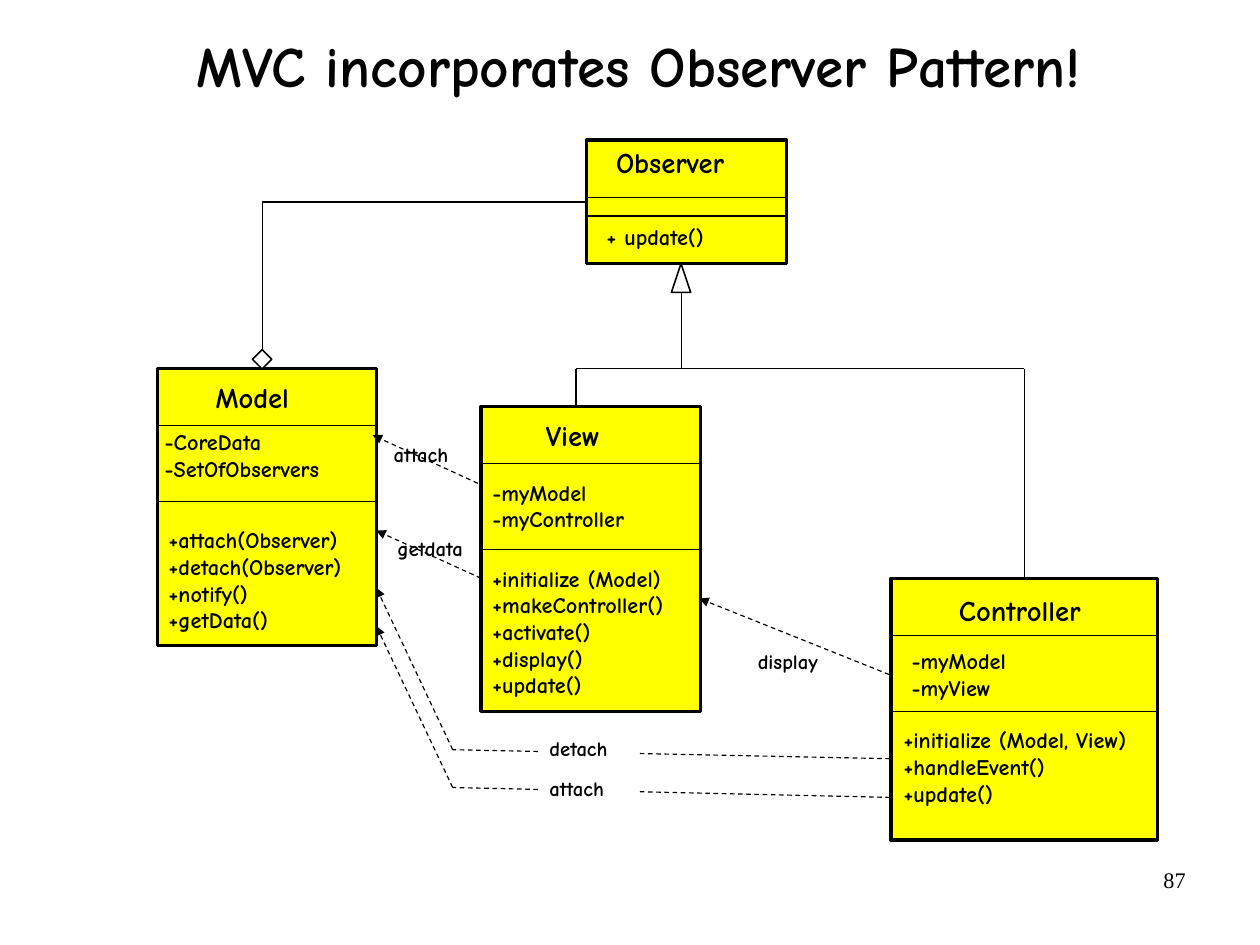
import pptx
import pptx.dml.color
import pptx.enum.dml
import pptx.enum.shapes
import pptx.enum.text
import pptx.oxml.ns
import pptx.util
from lxml import etree

Cm = pptx.util.Cm
Shapes = pptx.enum.shapes.MSO_SHAPE
Connectors = pptx.enum.shapes.MSO_CONNECTOR
Align = pptx.enum.text.PP_ALIGN
Anchor = pptx.enum.text.MSO_ANCHOR
qn = pptx.oxml.ns.qn


def color(value):
    return pptx.dml.color.RGBColor.from_string(value)


class Diagram:
    font = "Comic Neue"
    ink = "000000"
    paper = "FFFFFF"
    class_fill = "FFFF00"

    def __init__(self, slide):
        self.slide = slide

    def style(self, frame, size, align=Align.LEFT, font=None, bold=True):
        for paragraph in frame.paragraphs:
            paragraph.alignment = align
            for run in paragraph.runs:
                run.font.name = font or self.font
                run.font.size = pptx.util.Pt(size)
                run.font.bold = bold
                run.font.color.rgb = color(self.ink)

    def title(self, text, left, top, width, height):
        title = self.slide.shapes.title
        title.left, title.top = Cm(left), Cm(top)
        title.width, title.height = Cm(width), Cm(height)
        frame = title.text_frame
        frame.text = text
        frame.auto_size = pptx.enum.text.MSO_AUTO_SIZE.NONE
        frame.vertical_anchor = Anchor.MIDDLE
        frame.margin_left = frame.margin_right = 0
        frame.margin_top = frame.margin_bottom = 0
        frame.paragraphs[0].line_spacing = 0.88
        self.style(frame, 36, Align.CENTER)

    def text(self, lines, left, top, width, size, fill=None, **style):
        height = 0.25 + 0.0425 * size * len(lines)
        box = self.slide.shapes.add_textbox(Cm(left), Cm(top), Cm(width), Cm(height))
        if fill:
            box.fill.solid()
            box.fill.fore_color.rgb = color(fill)
        box.text_frame.word_wrap = True
        box.text_frame.text = "\n".join(lines)
        self.style(box.text_frame, size, **style)

    def shape(self, kind, left, top, width, height, fill, weight):
        shape = self.slide.shapes.add_shape(
            kind, Cm(left), Cm(top), Cm(width), Cm(height))
        shape.shadow.inherit = False
        shape.fill.solid()
        shape.fill.fore_color.rgb = color(fill)
        shape.line.color.rgb = color(self.ink)
        shape.line.width = pptx.util.Pt(weight)

    def line(self, start, end, kind=Connectors.STRAIGHT, dashed=False, arrow=False):
        connector = self.slide.shapes.add_connector(
            kind, *(Cm(value) for value in (*start, *end)))
        connector.line.color.rgb = color(self.ink)
        connector.line.width = pptx.util.Pt(0.75)
        if dashed:
            connector.line.dash_style = pptx.enum.dml.MSO_LINE.DASH
        properties = connector._element.spPr
        if arrow:
            etree.SubElement(properties.find(qn("a:ln")), qn("a:tailEnd"), type="triangle")
        etree.SubElement(properties, qn("a:effectLst"))
        return connector

    def corner(self, start, end):
        connector = self.line(start, end, Connectors.ELBOW)
        connector._element.spPr.find(qn("a:prstGeom")).set("prst", "bentConnector2")

    def route(self, points, dashed=False):
        for index, (start, end) in enumerate(zip(points, points[1:]), 2):
            self.line(start, end, dashed=dashed, arrow=dashed and index == len(points))

    def uml_class(self, frame, dividers, name, sections):
        left, top, width, height = frame
        self.shape(Shapes.RECTANGLE, left, top, width, height, self.class_fill, 2)
        for y in dividers:
            self.line((left, y), (left + width, y))
        self.text(*name, size=18)
        for section in sections:
            self.text(*section, size=14)


def main():
    presentation = pptx.Presentation()
    presentation.slide_width, presentation.slide_height = Cm(28), Cm(21)
    diagram = Diagram(presentation.slides.add_slide(presentation.slide_layouts[5]))

    # Title and page number
    diagram.title("MVC incorporates Observer Pattern!", 0.41, -0.2, 27.56, 3.48)
    diagram.text(["87"], 20.07, 19.12, 6.53, 14,
                 align=Align.RIGHT, font="Times New Roman", bold=False)

    # Classes: frame, divider heights, name, attributes and methods
    classes = [
        ((3.5, 8.19, 4.87, 6.15), (9.46, 11.15), (["Model"], 4.54, 8.31, 3.18), [
            (["-CoreData", "-SetOfObservers"], 3.41, 9.4, 5.51),
            (["+attach(Observer)", "+detach(Observer)", "+notify()", "+getData()"],
             3.5, 11.58, 5.41)]),
        ((19.8, 12.85, 5.92, 5.82), (14.12, 15.82), (["Controller"], 21.06, 13.06, 4.04), [
            (["-myModel", "-myView"], 20.01, 14.26, 5.51),
            (["+initialize (Model, View)", "+handleEvent()", "+update()"],
             19.83, 16.02, 5.92)]),
        ((13.03, 3.11, 4.45, 2.74), (4.38, 4.8), (["Observer"], 13.44, 3.1, 3.81), [
            (["+ update()"], 13.23, 4.83, 3.61)]),
        ((10.69, 9.03, 4.87, 6.78), (10.3, 12.21), (["View"], 11.88, 9.16, 2.31), [
            (["-myModel", "-myController"], 10.69, 10.52, 5.51),
            (["+initialize (Model)", "+makeController()", "+activate()",
              "+display()", "+update()"], 10.69, 12.43, 5.08)]),
    ]
    for uml_class in classes:
        diagram.uml_class(*uml_class)

    # Aggregation: Model holds Observers
    diagram.corner((13.03, 4.49), (5.83, 7.77))
    diagram.shape(Shapes.DIAMOND, 5.61, 7.77, 0.43, 0.43, diagram.paper, 1)

    # Inheritance: View and Controller are Observers
    diagram.route([(22.76, 12.85), (22.76, 8.19), (12.8, 8.19), (12.8, 9.03)])
    diagram.route([(15.14, 6.5), (15.14, 8.19)])
    diagram.shape(Shapes.ISOSCELES_TRIANGLE, 14.92, 5.86, 0.43, 0.64, diagram.paper, 1)

    # Calls between classes, each with its label
    calls = [
        ([(10.69, 12.85), (8.36, 11.79)], "getdata", 8.58, 11.79, None),
        ([(19.76, 14.99), (15.54, 13.3)], "display", 16.59, 14.29, None),
        ([(19.78, 16.86), (10.06, 16.66), (8.36, 13.06)],
         "detach", 11.96, 16.23, diagram.paper),
        ([(19.78, 17.72), (10.06, 17.5), (8.36, 13.91)],
         "attach", 11.96, 17.11, diagram.paper),
        ([(10.62, 10.74), (8.28, 9.67)], "attach", 8.5, 9.7, None),
    ]
    for points, label, left, top, fill in calls:
        diagram.route(points, dashed=True)
        diagram.text([label], left, top, 2.21 if label != "display" else 2.34, 13, fill)

    presentation.save("out.pptx")


if __name__ == "__main__":
    main()
